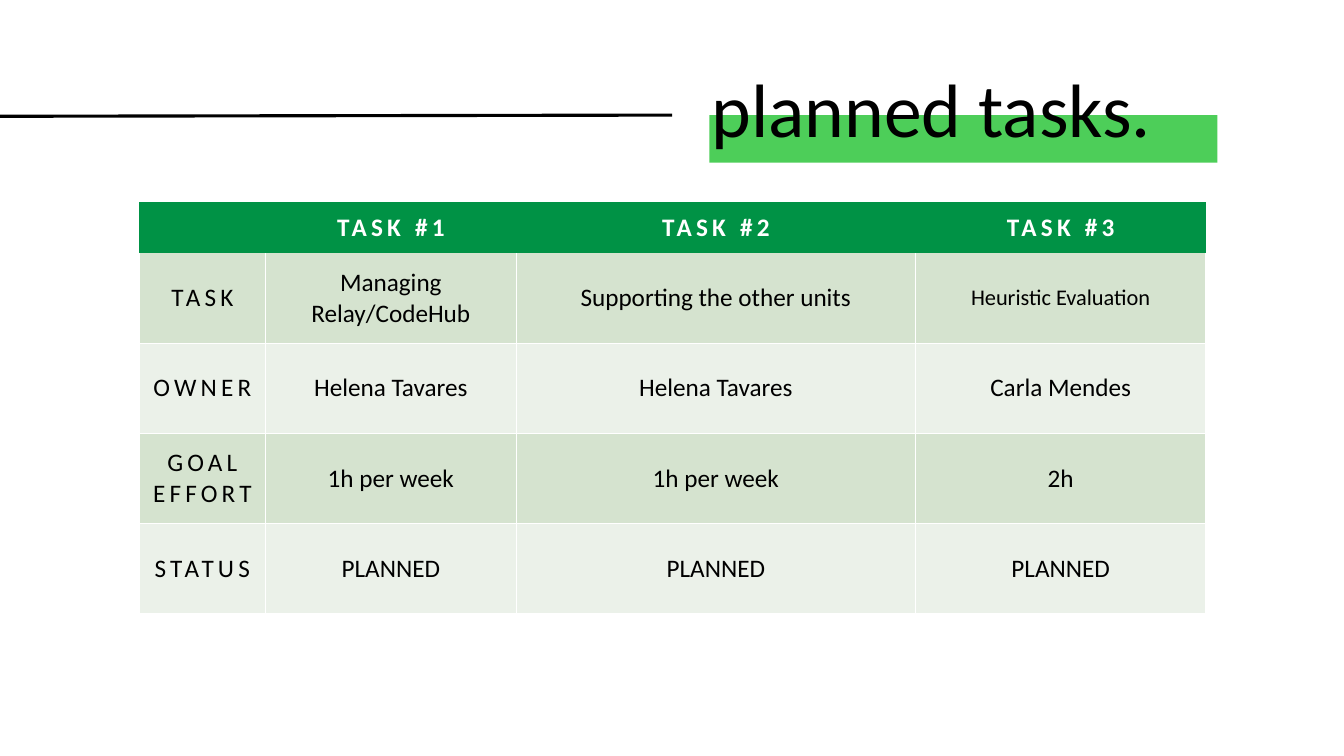
from dataclasses import dataclass

from lxml import etree
from pptx import Presentation
from pptx.dml.color import RGBColor
from pptx.enum.shapes import MSO_CONNECTOR, MSO_SHAPE
from pptx.enum.text import MSO_ANCHOR, MSO_AUTO_SIZE, PP_ALIGN
from pptx.oxml.ns import qn
from pptx.util import Cm, Pt

CENTER, LEFT = PP_ALIGN.CENTER, PP_ALIGN.LEFT
MIDDLE = MSO_ANCHOR.MIDDLE
NO_AUTOFIT = MSO_AUTO_SIZE.NONE
RECTANGLE = MSO_SHAPE.RECTANGLE
STRAIGHT = MSO_CONNECTOR.STRAIGHT
TITLE_ONLY = 5


@dataclass(frozen=True)
class Theme:
    font: str = "Calibri"
    ink: str = "000000"
    paper: str = "FFFFFF"
    highlight: str = "4DCE59"
    header: str = "009245"
    bands: tuple = ("D5E3CF", "EBF1E9")
    title_size: int = 54
    cell_size: int = 18
    small_size: int = 16
    label_spacing: int = 300


THEME = Theme()
COLUMN_WIDTHS = (3.18, 6.32, 10.06, 7.32)
ROW_HEIGHTS = (1.3, 2.27, 2.27, 2.27, 2.27)
SMALL_TEXT = "Heuristic Evaluation"
TASKS = (
    ("", "TASK #1", "TASK #2", "TASK #3"),
    ("TASK", "Managing Relay/CodeHub", "Supporting the other units", SMALL_TEXT),
    ("OWNER", "Helena Tavares", "Helena Tavares", "Carla Mendes"),
    ("GOAL\nEFFORT", "1h per week", "1h per week", "2h"),
    ("STATUS", "PLANNED", "PLANNED", "PLANNED"),
)


def style_paragraph(para, size, color, align, bold=False):
    para.alignment = align
    para.font.name = THEME.font
    para.font.size = Pt(size)
    para.font.bold = bold
    para.font.color.rgb = RGBColor.from_string(color)


def set_borders(cell, visible_sides):
    properties = cell._tc.get_or_add_tcPr()
    for side in "LRTB":
        line = etree.SubElement(properties, qn(f"a:ln{side}"), w=str(Pt(1)))
        if side in visible_sides:
            fill = etree.SubElement(line, qn("a:solidFill"))
            etree.SubElement(fill, qn("a:srgbClr"), val=THEME.paper)
        else:
            etree.SubElement(line, qn("a:noFill"))


def fill_cell(cell, text, row, column):
    is_header = row == 0
    is_label = is_header or column == 0
    set_borders(cell, "" if is_header else "LRB" if row == 1 else "LRTB")
    cell.fill.solid()
    background = THEME.header if is_header else THEME.bands[(row - 1) % 2]
    cell.fill.fore_color.rgb = RGBColor.from_string(background)
    cell.vertical_anchor = MIDDLE
    if column == 0:
        cell.margin_left = cell.margin_right = Cm(0.13)
    cell.text = text
    size = THEME.small_size if text == SMALL_TEXT else THEME.cell_size
    color = THEME.paper if is_header else THEME.ink
    for para in cell.text_frame.paragraphs:
        style_paragraph(para, size, color, CENTER, is_header)
        if is_label:
            for span in para.runs:
                span._r.get_or_add_rPr().set("spc", str(THEME.label_spacing))


def add_task_table(page):
    frame = page.shapes.add_table(
        len(TASKS), len(COLUMN_WIDTHS), Cm(3.51), Cm(5.08),
        Cm(sum(COLUMN_WIDTHS)), Cm(sum(ROW_HEIGHTS)),
    )
    table = frame.table
    table.horz_banding = False
    for column, width in zip(table.columns, COLUMN_WIDTHS):
        column.width = Cm(width)
    for row, height in zip(table.rows, ROW_HEIGHTS):
        row.height = Cm(height)
    for row, texts in enumerate(TASKS):
        for column, text in enumerate(texts):
            fill_cell(table.cell(row, column), text, row, column)


def add_highlight(page):
    bar = page.shapes.add_shape(RECTANGLE, Cm(17.88), Cm(2.9), Cm(12.8), Cm(1.2))
    bar.shadow.inherit = False
    bar.fill.solid()
    bar.fill.fore_color.rgb = RGBColor.from_string(THEME.highlight)
    bar.line.fill.background()


def add_rule(page):
    rule = page.shapes.add_connector(STRAIGHT, Cm(0), Cm(2.93), Cm(16.94), Cm(2.9))
    rule.line.color.rgb = RGBColor.from_string(THEME.ink)
    rule.line.width = Pt(2.25)
    etree.SubElement(rule.element.spPr, qn("a:effectLst"))


def place_title(page, text):
    title = page.shapes.title
    title.left, title.top = Cm(17.68), Cm(1.02)
    title.width, title.height = Cm(13.84), Cm(3.68)
    box = title.text_frame
    box.text = text
    box.word_wrap = True
    box.auto_size = NO_AUTOFIT
    box.vertical_anchor = MIDDLE
    para = box.paragraphs[0]
    para.line_spacing = 0.9
    style_paragraph(para, THEME.title_size, THEME.ink, LEFT)
    title.element.getparent().append(title.element)


def main():
    deck = Presentation()
    deck.slide_width, deck.slide_height = Cm(33.87), Cm(19.05)
    page = deck.slides.add_slide(deck.slide_layouts[TITLE_ONLY])
    add_highlight(page)
    add_task_table(page)
    add_rule(page)
    place_title(page, "planned tasks.")
    deck.save("out.pptx")


if __name__ == "__main__":
    main()
